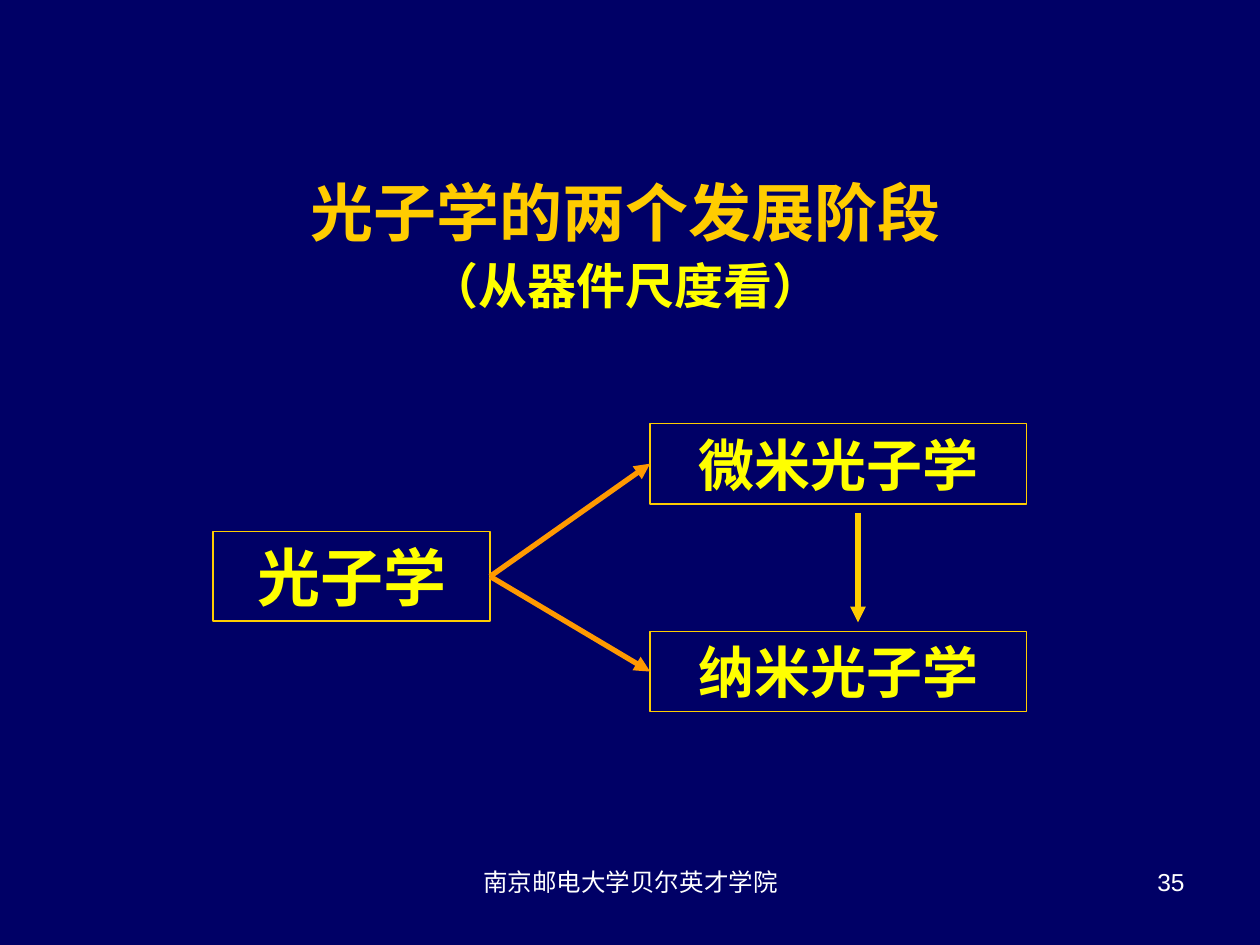
from lxml import etree
from pptx import Presentation
from pptx.dml.color import RGBColor
from pptx.enum.shapes import MSO_CONNECTOR as Line, MSO_SHAPE as Kind
from pptx.enum.text import MSO_ANCHOR as Anchor, PP_ALIGN as Align
from pptx.oxml.ns import qn
from pptx.util import Inches, Pt

NAVY = RGBColor(0x00, 0x00, 0x66)
WHITE = RGBColor(0xFF, 0xFF, 0xFF)
GOLD = RGBColor(0xFF, 0xCC, 0x00)
YELLOW = RGBColor(0xFF, 0xFF, 0x00)
ORANGE = RGBColor(0xFF, 0x99, 0x00)
LATIN = "Arial"
HAN = "Noto Sans CJK SC"


def style(para, size, color, align, bold=False, face=LATIN):
    para.alignment = align
    for run in para.runs:
        font = run.font
        font.size = Pt(size)
        font.bold = bold
        font.color.rgb = color
        font.name = face
        east = etree.SubElement(run._r.get_or_add_rPr(), qn("a:ea"))
        east.set("typeface", HAN)


def add_text(slide, box, text):
    frame = slide.shapes.add_textbox(*map(Inches, box)).text_frame
    frame.word_wrap = True
    frame.text = text
    return frame


def add_title(slide, box):
    frame = add_text(slide, box, "光子学的两个发展阶段\n（从器件尺度看）")
    frame.vertical_anchor = Anchor.MIDDLE
    head, sub = frame.paragraphs
    style(head, 36, GOLD, Align.CENTER, True, HAN)
    style(sub, 28, YELLOW, Align.CENTER, True, HAN)
    sub.space_before = Pt(4)


def add_node(slide, box, text, size):
    node = slide.shapes.add_shape(Kind.RECTANGLE, *map(Inches, box))
    node.shadow.inherit = False
    node.fill.background()
    node.line.color.rgb = GOLD
    node.line.width = Pt(0.75)
    frame = node.text_frame
    frame.text = text
    frame.vertical_anchor = Anchor.MIDDLE
    style(frame.paragraphs[0], size, YELLOW, Align.CENTER, True)
    return node


def add_arrow(slide, color, ends=(0, 0, 0, 0)):
    arrow = slide.shapes.add_connector(Line.STRAIGHT, *map(Inches, ends))
    arrow.line.color.rgb = color
    arrow.line.width = Pt(3)
    tail = etree.SubElement(arrow.line._get_or_add_ln(), qn("a:tailEnd"))
    tail.set("type", "triangle")
    etree.SubElement(arrow._element.spPr, qn("a:effectLst"))
    return arrow


def add_tree(slide, box):
    left, top, width, height = box
    wide, high = 2.99, 0.64
    right = left + width - wide
    low = top + height - high
    root = add_node(slide, (left, top + 0.86, 2.2, 0.71), "光子学", 36)
    for y, text in ((top, "微米光子学"), (low, "纳米光子学")):
        leaf = add_node(slide, (right, y, wide, high), text, 32)
        arrow = add_arrow(slide, ORANGE)
        arrow.begin_connect(root, 3)
        arrow.end_connect(leaf, 1)
    x, gap = right + 1.65, 0.07
    add_arrow(slide, GOLD, (x, top + high + gap, x, low - gap))


def add_footer(slide, box):
    left, top, width, height = box
    name = add_text(slide, (left, top, 3.17, height), "南京邮电大学贝尔英才学院")
    style(name.paragraphs[0], 14, WHITE, Align.CENTER)
    page = add_text(slide, (left + width - 2.33, top, 2.33, height), "35")
    style(page.paragraphs[0], 14, WHITE, Align.RIGHT)


def main():
    deck = Presentation()
    deck.slide_width, deck.slide_height = Inches(10), Inches(7.5)
    slide = deck.slides.add_slide(deck.slide_layouts[6])
    slide.background.fill.solid()
    slide.background.fill.fore_color.rgb = NAVY
    add_title(slide, (1.46, 1.31, 7.01, 1.25))
    add_tree(slide, (1.69, 3.36, 6.46, 2.29))
    add_footer(slide, (3.42, 6.83, 6.08, 0.52))
    deck.save("out.pptx")


if __name__ == "__main__":
    main()
